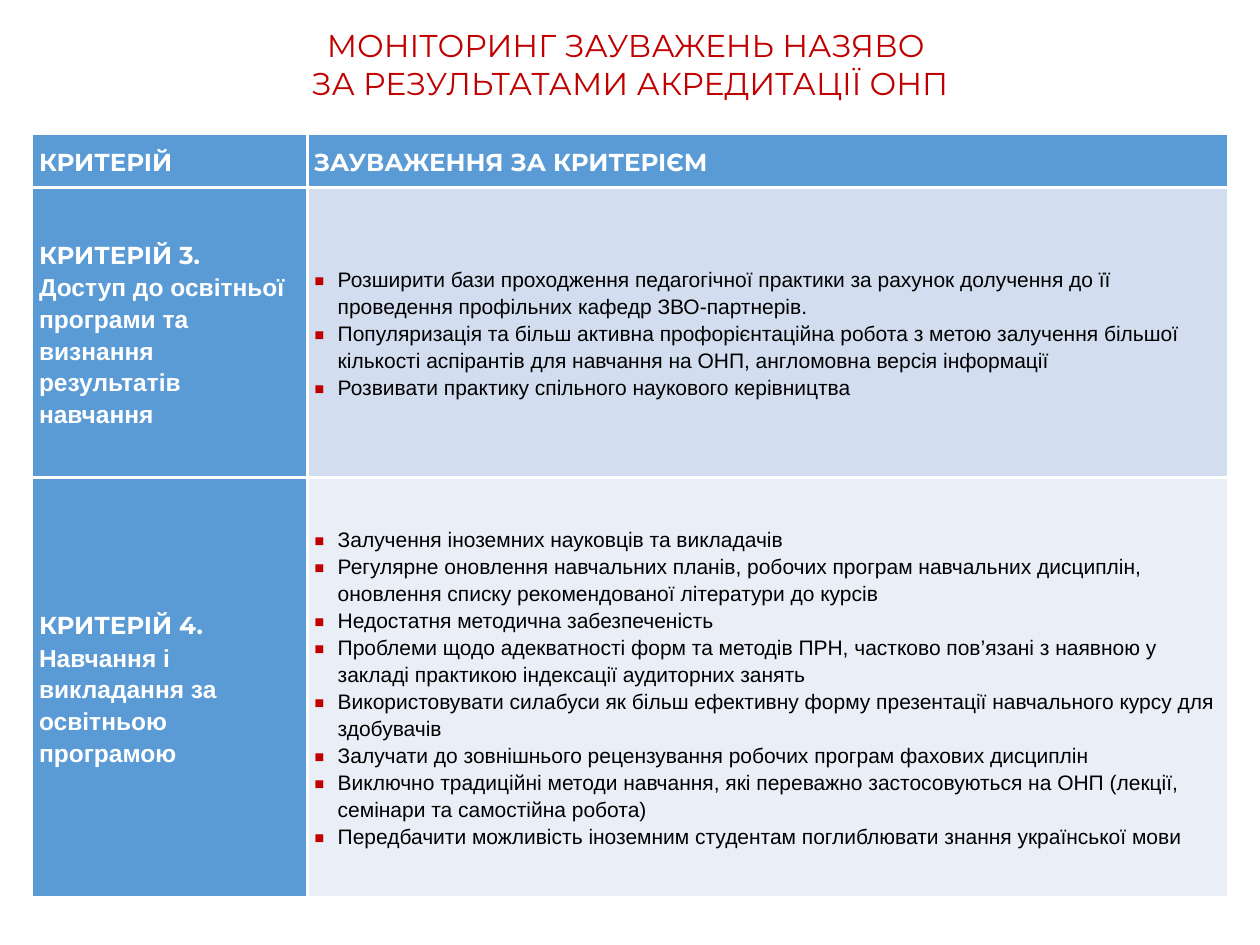
from dataclasses import dataclass

from lxml import etree
from pptx import Presentation
from pptx import util as u
from pptx.dml.color import RGBColor
from pptx.enum import text
from pptx.oxml.ns import qn


@dataclass(frozen=True)
class Theme:
    red: str = "C00000"
    white: str = "FFFFFF"
    black: str = "000000"
    blue: str = "5B9BD5"
    bands: tuple = ("D2DEEF", "EAEFF7")
    display: str = "Montserrat"
    body: str = "Arial"
    title_size: int = 18
    label_size: int = 14
    remark_size: int = 12
    thin: float = 0.45
    thick: float = 2.21


@dataclass(frozen=True)
class Box:
    x: int
    y: int
    w: int
    h: int


T = Theme()
TITLE = dict(name=T.display, size=u.Pt(T.title_size), color=T.red)
HEAD = dict(name=T.display, size=u.Pt(T.label_size), color=T.white, bold=True)
LABEL = dict(HEAD, name=T.body)
REMARK = dict(name=T.body, size=u.Pt(T.remark_size), color=T.black, bold=False)

COLUMN_SHARES = (0.23, 0.77)
ROW_SHARES = (0.07, 0.38, 0.55)
INSET = u.Inches(0.05)
INDENT = u.Inches(0.19)

TITLE_LINES = ["МОНІТОРИНГ ЗАУВАЖЕНЬ НАЗЯВО ", "ЗА РЕЗУЛЬТАТАМИ АКРЕДИТАЦІЇ ОНП"]
HEADERS = ["КРИТЕРІЙ", "ЗАУВАЖЕННЯ ЗА КРИТЕРІЄМ"]
CRITERIA = [
    ("КРИТЕРІЙ 3.", "Доступ до освітньої програми та визнання результатів навчання", [
        "Розширити бази проходження педагогічної практики за рахунок долучення до її "
        "проведення профільних кафедр ЗВО-партнерів.",
        "Популяризація та більш активна профорієнтаційна робота з метою залучення більшої "
        "кількості аспірантів для навчання на ОНП, англомовна версія інформації",
        "Розвивати практику спільного наукового керівництва",
    ]),
    ("КРИТЕРІЙ 4.", "Навчання і викладання за освітньою програмою", [
        "Залучення іноземних науковців та викладачів",
        "Регулярне оновлення навчальних планів, робочих програм навчальних дисциплін, "
        "оновлення списку рекомендованої літератури до курсів",
        "Недостатня методична забезпеченість",
        "Проблеми щодо адекватності форм та методів ПРН, частково пов’язані з наявною у "
        "закладі практикою індексації аудиторних занять",
        "Використовувати силабуси як більш ефективну форму презентації навчального курсу "
        "для здобувачів",
        "Залучати до зовнішнього рецензування робочих програм фахових дисциплін",
        "Виключно традиційні методи навчання, які переважно застосовуються на ОНП (лекції, "
        "семінари та самостійна робота)",
        "Передбачити можливість іноземним студентам поглиблювати знання української мови",
    ]),
]


def add_bullet(p):
    pPr = p._p.get_or_add_pPr()
    pPr.set("marL", str(INDENT))
    pPr.set("indent", str(-INDENT))
    color = etree.SubElement(pPr, qn("a:buClr"))
    etree.SubElement(color, qn("a:srgbClr"), val=T.red)
    etree.SubElement(pPr, qn("a:buSzPct"), val="150000")
    etree.SubElement(pPr, qn("a:buFont"), typeface=T.body)
    etree.SubElement(pPr, qn("a:buChar"), char="▪")


def write(tf, lines, bullets=False, **paragraph_format):
    tf.word_wrap = True
    for i, (line, style) in enumerate(lines):
        p = tf.add_paragraph() if i else tf.paragraphs[0]
        if bullets:
            add_bullet(p)
        for key, value in paragraph_format.items():
            setattr(p, key, value)
        r = p.add_run()
        r.text = line
        for key, value in style.items():
            if key == "color":
                r.font.color.rgb = RGBColor.from_string(value)
            else:
                setattr(r.font, key, value)


def add_borders(cell, widths):
    tcPr = cell._tc.get_or_add_tcPr()
    for i, (side, width) in enumerate(zip("LRTB", widths)):
        ln = etree.Element(qn(f"a:ln{side}"), w=str(u.Pt(width)))
        fill = etree.SubElement(ln, qn("a:solidFill"))
        etree.SubElement(fill, qn("a:srgbClr"), val=T.white)
        tcPr.insert(i, ln)


def fill_cell(cell, lines, color, widths, bullets=False):
    for side in ("left", "right", "top", "bottom"):
        setattr(cell, f"margin_{side}", INSET)
    cell.vertical_anchor = text.MSO_ANCHOR.MIDDLE
    cell.fill.solid()
    cell.fill.fore_color.rgb = RGBColor.from_string(color)
    add_borders(cell, widths)
    write(cell.text_frame, lines, bullets, line_spacing=1.15)


def draw_title(s, box):
    sp = s.shapes.add_textbox(box.x, box.y, box.w, box.h)
    write(sp.text_frame, [(line, TITLE) for line in TITLE_LINES],
          alignment=text.PP_ALIGN.CENTER)


def draw_criteria_table(s, box):
    rows = [[[(h, HEAD)] for h in HEADERS]]
    for number, name, remarks in CRITERIA:
        rows.append([[(number, HEAD), (name, LABEL)], [(x, REMARK) for x in remarks]])
    last_row, last_col = len(rows) - 1, len(HEADERS) - 1
    table = s.shapes.add_table(len(rows), len(HEADERS), box.x, box.y, box.w, box.h).table
    table.first_row = table.horz_banding = False
    for column, share in zip(table.columns, COLUMN_SHARES):
        column.width = round(box.w * share)
    for row, share in zip(table.rows, ROW_SHARES):
        row.height = round(box.h * share)
    for i, row in enumerate(rows):
        for j, lines in enumerate(row):
            remark = i > 0 and j > 0
            outer = (j == 0, j == last_col, i == 0, i == last_row)
            widths = [T.thin if edge else T.thick for edge in outer]
            color = T.bands[i - 1] if remark else T.blue
            fill_cell(table.cell(i, j), lines, color, widths, remark)


def main():
    prs = Presentation()
    prs.slide_width, prs.slide_height = u.Inches(10), u.Inches(7.5)
    W, H = prs.slide_width, prs.slide_height
    s = prs.slides.add_slide(prs.slide_layouts[6])
    left, width = round(W * 0.026), round(W * 0.948)
    draw_criteria_table(s, Box(left, round(H * 0.142), width, round(H * 0.807)))
    draw_title(s, Box(left, round(H * 0.021), width, round(H * 0.094)))
    prs.save("out.pptx")


if __name__ == "__main__":
    main()
